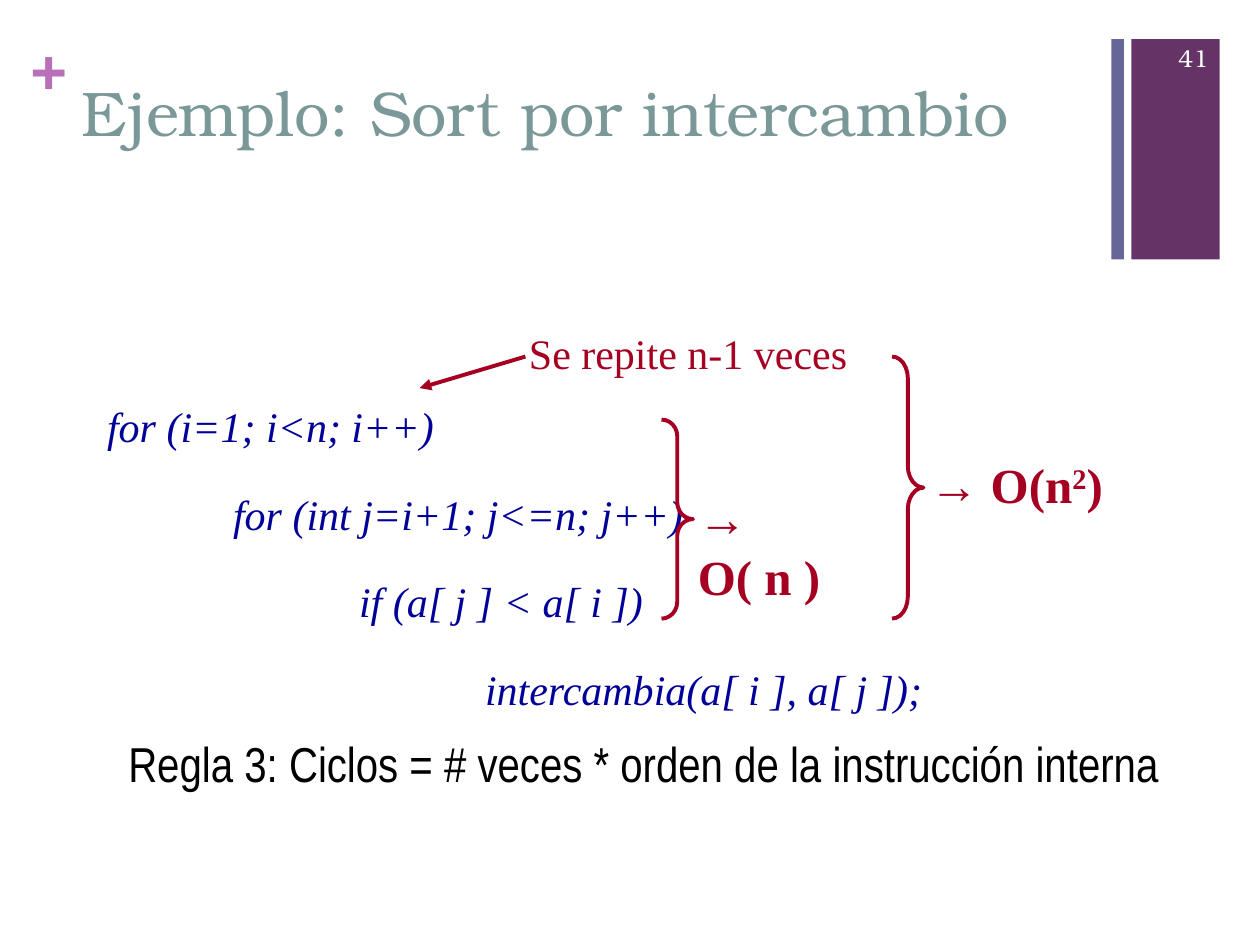
"""Build the slide on the cost of nested loops in an exchange sort."""
from dataclasses import dataclass

from lxml import etree
from pptx import Presentation
from pptx.dml.color import RGBColor
from pptx.enum import shapes as kinds, text as styles
from pptx.oxml import ns
from pptx.util import Inches, Pt

PURPLE = RGBColor(0x66, 0x33, 0x66)
SLATE = RGBColor(0x66, 0x66, 0x99)
ORCHID = RGBColor(0xB8, 0x70, 0xB8)
SAGE = RGBColor(0x7B, 0x98, 0x99)
NAVY = RGBColor(0x00, 0x00, 0x99)
CRIMSON = RGBColor(0xA5, 0x00, 0x21)
WHITE = RGBColor(0xFF, 0xFF, 0xFF)
BLACK = RGBColor(0x00, 0x00, 0x00)

SERIF = "Times New Roman"
DISPLAY = "TeX Gyre Bonum"
LINE_WIDTH = Pt(2.25)
CODE_INDENT = Inches(1)
CODE_GAP = Pt(21.3)

CODE = (
    "for (i=1; i<n; i++)",
    "for (int j=i+1; j<=n; j++)",
    "if (a[ j ] < a[ i ])",
    "intercambia(a[ i ], a[ j ]);",
)


@dataclass(frozen=True)
class Box:
    """Place and size in inches."""
    left: float
    top: float
    width: float
    height: float

    def lengths(self) -> tuple:
        return tuple(map(Inches, (self.left, self.top, self.width, self.height)))


@dataclass(frozen=True)
class Bar:
    """Coloured bar at the right edge."""
    box: Box
    color: RGBColor


@dataclass(frozen=True)
class Cost:
    """Brace over a loop and the order of growth beside it."""
    brace: Box
    curl: float
    label: Box
    pieces: tuple


BARS = (
    Bar(Box(8.98, 0.31, 0.7, 1.75), PURPLE),
    Bar(Box(8.82, 0.31, 0.1, 1.75), SLATE),
)
COSTS = (
    Cost(Box(5.25, 3.33, 0.25, 1.58), 0.53, Box(5.44, 3.82, 1.64, 0.57), ("→ O( n )",)),
    Cost(Box(7.08, 2.83, 0.25, 2.08), 0.69, Box(7.28, 3.56, 1.64, 0.57), ("→ O(n", "2", ")")),
)


def write(paragraph, content: str, *, size: float, color: RGBColor, font: str = SERIF,
          bold: bool = False, italic: bool = False, raised: bool = False) -> None:
    """Add one formatted run to a paragraph."""
    run = paragraph.add_run()
    run.text = content
    run.font.name = font
    run.font.size = Pt(size)
    run.font.color.rgb = color
    run.font.bold = bold
    run.font.italic = italic
    if raised:
        run.font._element.set("baseline", "30000")


def add_label(slide, box: Box, wrap: bool = False):
    """Add a text box and return its frame."""
    frame = slide.shapes.add_textbox(*box.lengths()).text_frame
    frame.word_wrap = wrap
    if not wrap:
        frame.auto_size = styles.MSO_AUTO_SIZE.SHAPE_TO_FIT_TEXT
    return frame


def place(holder, box: Box) -> None:
    """Move and resize a placeholder."""
    holder.left, holder.top, holder.width, holder.height = box.lengths()


def add_bar(slide, bar: Bar) -> None:
    """Draw a bar without outline."""
    rectangle = slide.shapes.add_shape(kinds.MSO_SHAPE.RECTANGLE, *bar.box.lengths())
    rectangle.shadow.inherit = False
    rectangle.fill.solid()
    rectangle.fill.fore_color.rgb = bar.color
    rectangle.line.fill.background()


def add_cost(slide, cost: Cost) -> None:
    """Draw a brace and its order of growth."""
    brace = slide.shapes.add_shape(kinds.MSO_SHAPE.RIGHT_BRACE, *cost.brace.lengths())
    brace.shadow.inherit = False
    brace.adjustments[0] = cost.curl
    brace.adjustments[1] = 0.5
    brace.fill.background()
    brace.line.color.rgb = CRIMSON
    brace.line.width = LINE_WIDTH
    formula = add_label(slide, cost.label).paragraphs[0]
    for piece in cost.pieces:
        write(formula, piece, size=28, color=CRIMSON, bold=True, raised=piece == "2")


def add_arrow(slide, start: tuple, end: tuple) -> None:
    """Draw a straight arrow between two points in inches."""
    arrow = slide.shapes.add_connector(
        kinds.MSO_CONNECTOR.STRAIGHT, *map(Inches, start + end))
    arrow.line.color.rgb = CRIMSON
    arrow.line.width = LINE_WIDTH
    outline = arrow.line._get_or_add_ln()
    etree.SubElement(outline, ns.qn("a:tailEnd"), type="triangle")
    etree.SubElement(arrow._element.spPr, ns.qn("a:effectLst"))


def fill_code(frame) -> None:
    """Write the nested loops, one indent deeper on each line."""
    frame.margin_top = Inches(0.76)
    frame.vertical_anchor = styles.MSO_ANCHOR.TOP
    for depth, statement in enumerate(CODE):
        line = frame.add_paragraph() if depth else frame.paragraphs[0]
        line.space_before = Pt(0)
        line.space_after = CODE_GAP
        properties = line._p.get_or_add_pPr()
        properties.set("marL", str(depth * CODE_INDENT))
        properties.set("indent", "0")
        etree.SubElement(properties, ns.qn("a:buNone"))
        write(line, statement, size=24, color=NAVY, italic=True)


def main() -> None:
    """Assemble and save the slide."""
    deck = Presentation()
    deck.slide_width, deck.slide_height = Inches(10), Inches(7.5)
    slide = deck.slides.add_slide(deck.slide_layouts[1])
    title, body = slide.placeholders

    place(title, Box(0.55, 0.53, 8.26, 1.22))
    title.text_frame.vertical_anchor = styles.MSO_ANCHOR.TOP
    heading = title.text_frame.paragraphs[0]
    heading.alignment = styles.PP_ALIGN.LEFT
    write(heading, "Ejemplo: Sort por intercambio", size=36, color=SAGE, font=DISPLAY)

    place(body, Box(0.75, 2.42, 8.5, 4.5))
    fill_code(body.text_frame)

    for bar in BARS:
        add_bar(slide, bar)

    plus = add_label(slide, Box(0.24, 0.25, 0.29, 0.61), wrap=True)
    plus.margin_left = plus.margin_right = plus.margin_top = plus.margin_bottom = 0
    write(plus.paragraphs[0], "+", size=36, color=ORCHID, font="Arial", bold=True)

    number = add_label(slide, Box(9.08, 0.26, 0.61, 0.4), wrap=True)
    number.vertical_anchor = styles.MSO_ANCHOR.MIDDLE
    number.paragraphs[0].alignment = styles.PP_ALIGN.RIGHT
    write(number.paragraphs[0], "41", size=14, color=WHITE, font=DISPLAY)

    for cost in COSTS:
        add_cost(slide, cost)

    add_arrow(slide, (4.17, 2.83), (3.33, 3.08))
    repeats = add_label(slide, Box(4.1, 2.55, 2.73, 0.5))
    write(repeats.paragraphs[0], "Se repite n-1 veces", size=24, color=CRIMSON)

    rule = add_label(slide, Box(0.92, 5.77, 8.38, 0.57))
    write(rule.paragraphs[0], "Regla 3: Ciclos = # veces * orden de la instrucción interna",
          size=28, color=BLACK, font="Arial Narrow")

    deck.save("out.pptx")


if __name__ == "__main__":
    main()
